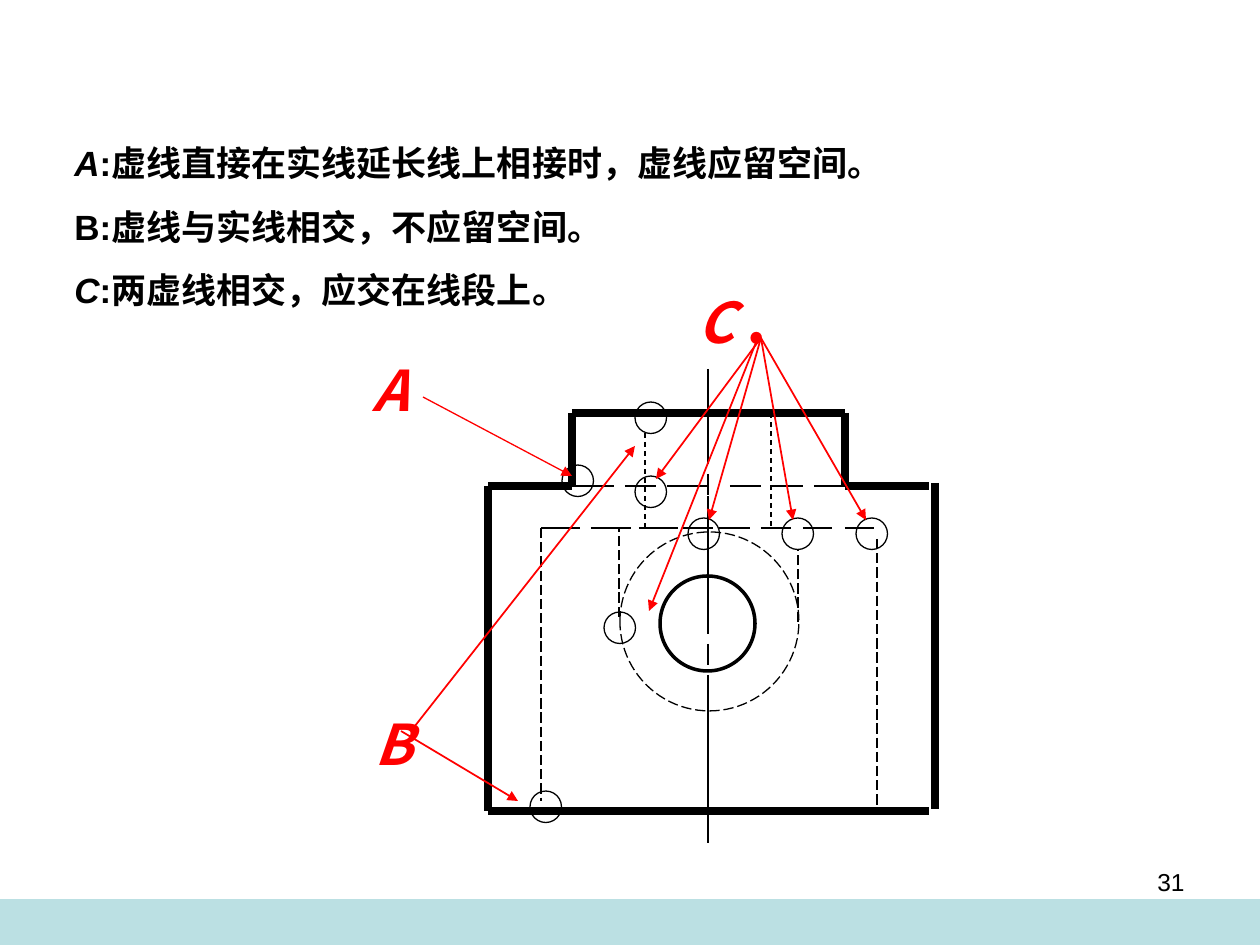
from pptx import Presentation
from pptx.dml.color import RGBColor
from pptx.enum.dml import MSO_LINE
from pptx.enum.shapes import MSO_CONNECTOR, MSO_SHAPE
from pptx.enum.text import PP_ALIGN
from pptx.oxml.ns import qn
from pptx.util import Pt
from lxml import etree

BLACK = RGBColor(0x00, 0x00, 0x00)
RED = RGBColor(0xFF, 0x00, 0x00)
BAND = RGBColor(0xBB, 0xE0, 0xE3)
DASH, LONG_DASH = MSO_LINE.DASH, MSO_LINE.LONG_DASH
STRAIGHT = MSO_CONNECTOR.STRAIGHT
OVAL, RECT = MSO_SHAPE.OVAL, MSO_SHAPE.RECTANGLE
LEFT, RIGHT = PP_ALIGN.LEFT, PP_ALIGN.RIGHT
LATIN, CJK = "Arial", "Noto Sans CJK SC"
THIN, MEDIUM, ARROW, THICK = 0.75, 2, 1, 4.5


def px(n):
    """126 px to the inch."""
    return round(n * 914400 / 126)


def add_run(p, text, size=20, font=LATIN, color=BLACK, bold=True, italic=False):
    r = p.add_run()
    r.text = text
    r.font.size = Pt(size)
    r.font.name = font
    r.font.bold, r.font.italic = bold, italic
    r.font.color.rgb = color
    ea = etree.SubElement(r.font._element, qn("a:ea"))
    ea.set("typeface", CJK)


class Drawing:
    def __init__(self, prs):
        self.s = prs.slides.add_slide(prs.slide_layouts[6])

    def line(self, x1, y1, x2, y2, width=THIN, color=BLACK, dash=None, arrow=False):
        c = self.s.shapes.add_connector(STRAIGHT, px(x1), px(y1), px(x2), px(y2))
        c.line.color.rgb = color
        c.line.width = Pt(width)
        if dash:
            c.line.dash_style = dash
        if arrow:
            tail = etree.SubElement(c.line._get_or_add_ln(), qn("a:tailEnd"))
            tail.set("type", "triangle")
        etree.SubElement(c._element.spPr, qn("a:effectLst"))

    def circle(self, x, y, size, width=THIN, dash=None):
        sp = self.s.shapes.add_shape(OVAL, px(x), px(y), px(size), px(size))
        sp.shadow.inherit = False
        sp.fill.background()
        sp.line.color.rgb = BLACK
        sp.line.width = Pt(width)
        if dash:
            sp.line.dash_style = dash

    def band(self, x, y, w, h):
        sp = self.s.shapes.add_shape(RECT, px(x), px(y), px(w), px(h))
        sp.shadow.inherit = False
        sp.fill.solid()
        sp.fill.fore_color.rgb = BAND
        sp.line.fill.background()

    def text(self, x, y, w, h, paragraphs, spacing=None, before=0, wrap=True,
             align=LEFT):
        """Each paragraph is a list of (text, format) runs."""
        tf = self.s.shapes.add_textbox(px(x), px(y), px(w), px(h)).text_frame
        tf.word_wrap = wrap
        for i, runs in enumerate(paragraphs):
            p = tf.add_paragraph() if i else tf.paragraphs[0]
            p.alignment = align
            if spacing:
                p.line_spacing = Pt(spacing)
            if i:
                p.space_before = Pt(before)
            for text, style in runs:
                add_run(p, text, **style)


def main():
    prs = Presentation()
    prs.slide_width, prs.slide_height = px(1260), px(945)
    d = Drawing(prs)
    d.band(0, 899, 1260, 46)

    # Visible outline of the part
    top, shoulder, bottom = 413, 486, 811
    for segment in [(845, top, 845, shoulder), (845, shoulder, 929, shoulder),
                    (488, shoulder, 488, bottom), (935, 483, 935, 809),
                    (488, bottom, 929, bottom), (572, top, 845, top),
                    (572, shoulder, 572, top), (488, shoulder, 572, shoulder)]:
        d.line(*segment, width=THICK)

    # Bore and hidden circle
    d.circle(620, 532, 179, dash=LONG_DASH)
    d.circle(660, 576, 95, width=MEDIUM)

    # Hidden horizontal edges, drawn dash by dash
    hidden = 528
    rows = {
        shoulder: [(572, 614), (625, 656), (667, 709), (730, 761), (771, 803),
                   (814, 845)],
        hidden: [(541, 580), (591, 631), (639, 678), (683, 713), (719, 750),
                 (761, 791), (803, 832), (845, 874)],
    }
    for y, dashes in rows.items():
        for x1, x2 in dashes:
            d.line(x1, y, x2, y)

    # Hidden vertical edges
    for x, y1, y2, dash in [(877, 539, bottom, LONG_DASH),
                            (541, hidden, 801, LONG_DASH),
                            (619, 617, hidden, LONG_DASH),
                            (798, 622, 549, LONG_DASH),
                            (771, top, hidden, DASH), (645, 433, hidden, DASH)]:
        d.line(x, y1, x, y2, dash=dash)

    # Vertical centre line
    for y1, y2 in [(369, 464), (474, 495), (496, 634), (644, 665), (675, 843)]:
        d.line(708, y1, 708, y2)

    # Circles marking the junctions
    for x, y in [(856, 518), (688, 518), (635, 402), (635, 476), (562, 465),
                 (604, 612), (782, 518), (530, 791)]:
        d.circle(x, y, 31.5)

    # Arrows from the letters to the junctions
    d.line(423, 397, 572, 476, color=RED, arrow=True)
    for arrow in [(411, 731, 635, 446), (401, 731, 518, 801),
                  (761, 338, 656, 479), (761, 338, 709, 520),
                  (761, 338, 793, 520), (761, 338, 866, 520),
                  (757, 340, 649, 611)]:
        d.line(*arrow, width=ARROW, color=RED, arrow=True)

    # Letters
    letter = dict(size=32, font=CJK, color=RED, italic=True)
    dot = dict(letter, size=36, italic=False)
    d.text(360, 348, 60, 81, [[("A", letter)]], spacing=39, wrap=False)
    d.text(362, 702, 58, 81, [[("B", letter)]], spacing=39)
    d.text(685, 275, 105, 88, [[("C ", letter), (".", dot)]], spacing=43)

    # Rules
    italic = dict(italic=True)
    d.text(62, 135, 842, 183, [
        [("A", italic), (":虚线直接在实线延长线上相接时，虚线应留空间。", {})],
        [("B:虚线与实线相交，不应留空间。", {})],
        [("C", italic), (":两虚线相交，应交在线段上。", {})],
    ], spacing=24, before=12.5, wrap=False)

    # Page number
    d.text(903, 861, 294, 66, [[("31", dict(size=14, bold=False))]], align=RIGHT)

    prs.save("out.pptx")


if __name__ == "__main__":
    main()
